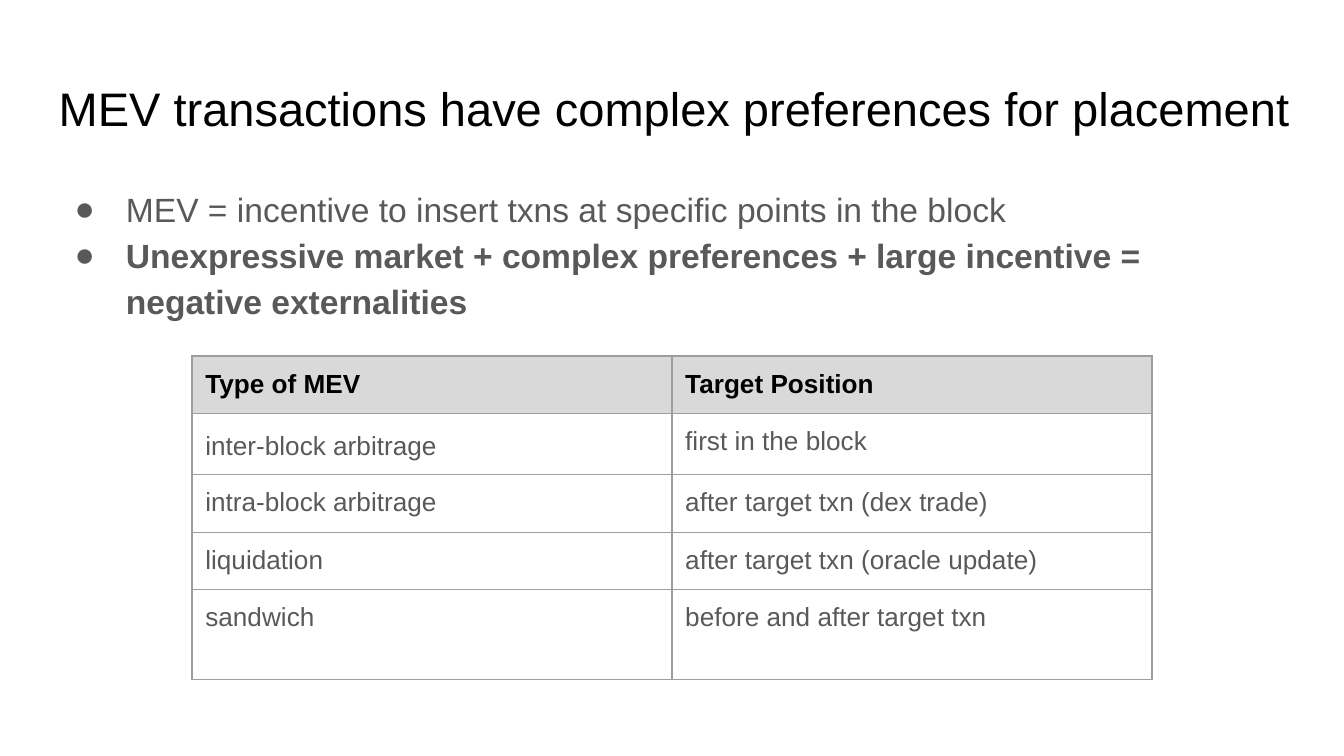
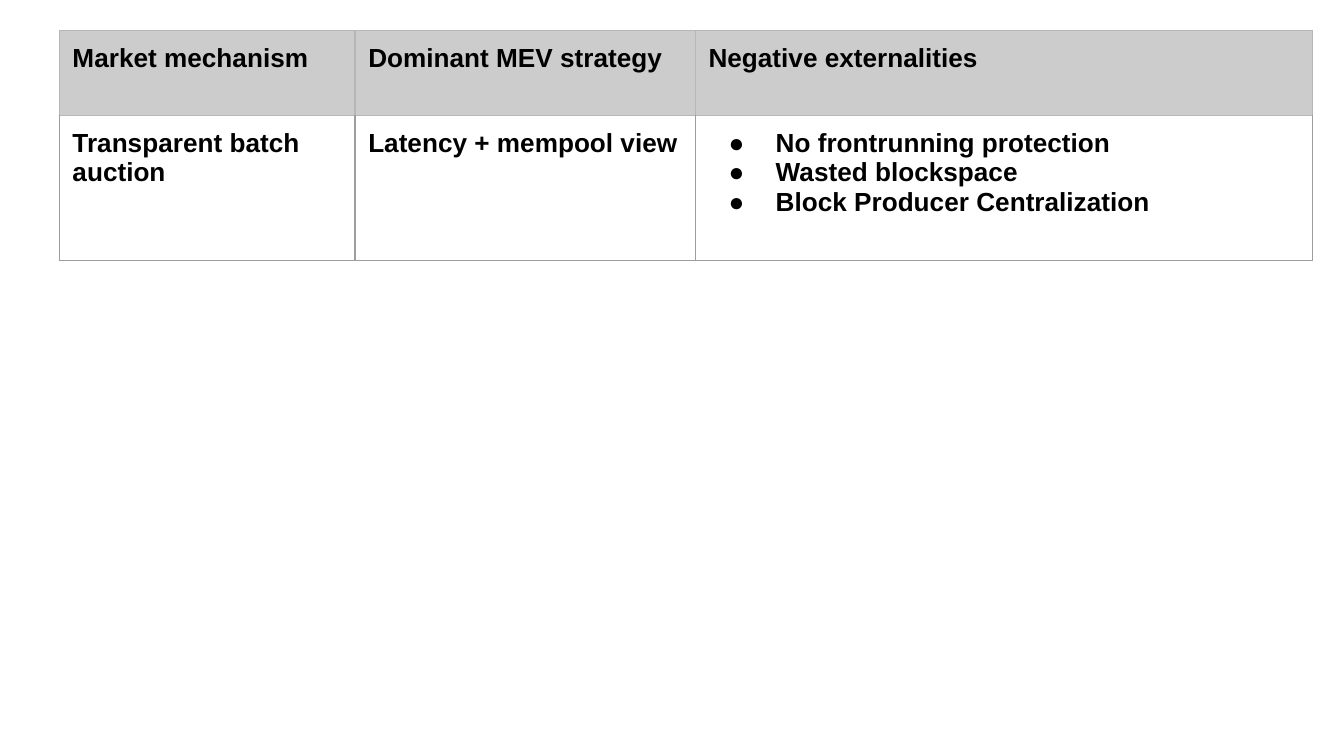
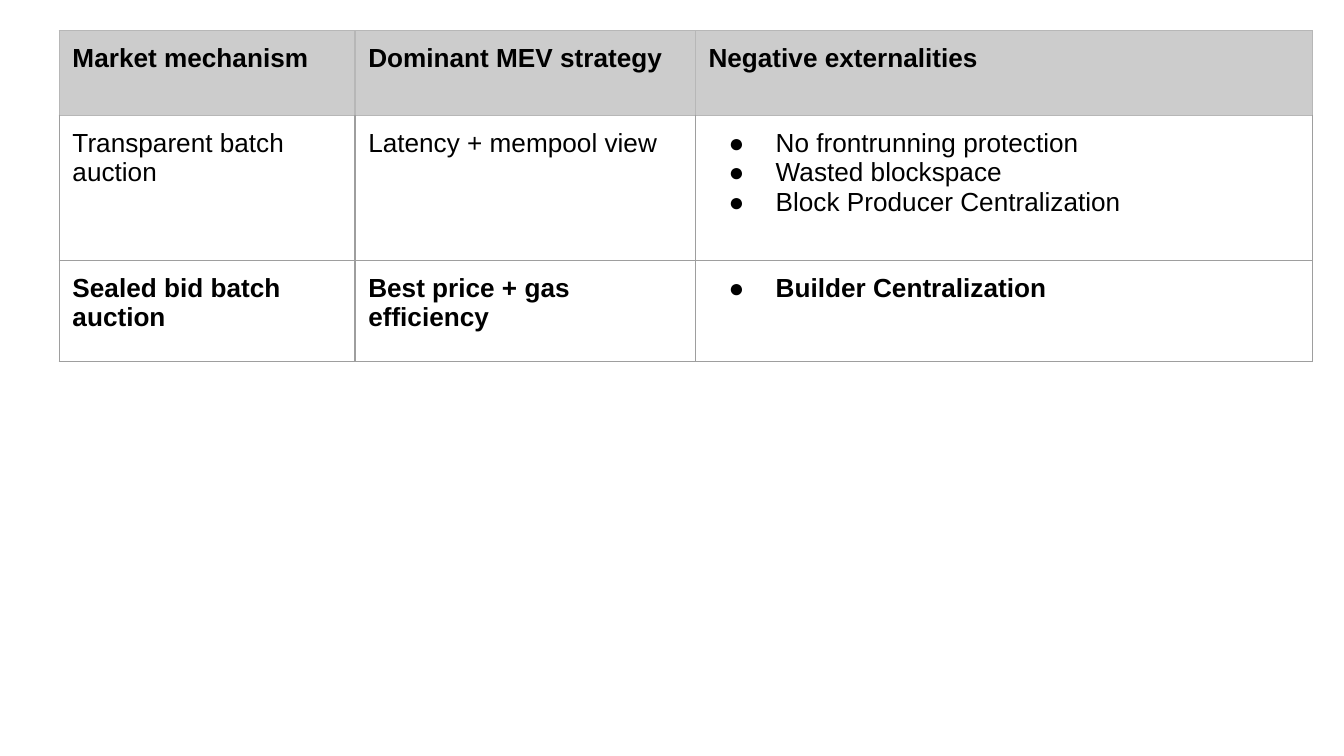
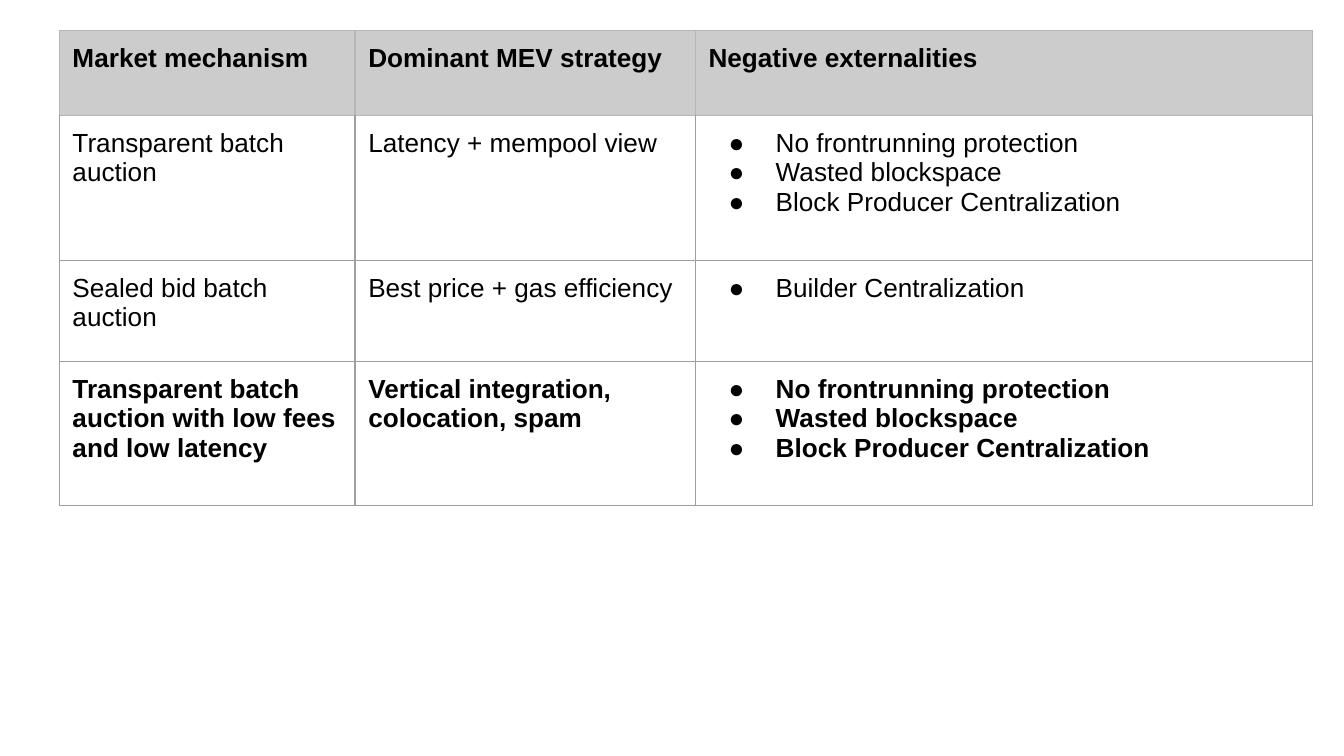
from dataclasses import dataclass
from typing import Any

from lxml import etree
from pptx import Presentation
from pptx import util as u
from pptx.dml import color
from pptx.enum import text
from pptx.oxml import ns

# Shared style
FONT = "Arial"
BLACK, GREY = "000000", "595959"
LINE, HEADER_LINE = "9E9E9E", "B7B7B7"
INSET = u.Cm(0.25)
MARGINS = {f"margin_{side}": INSET for side in ("left", "top", "right", "bottom")}
FRAME = MARGINS | {"word_wrap": True, "auto_size": text.MSO_AUTO_SIZE.NONE}
TITLE_LAYOUT, BLANK_LAYOUT = 1, 6


@dataclass(frozen=True)
class Line:
    """One paragraph; hang is the bullet's hanging indent in cm (0 for no bullet)."""
    words: str
    size: float = 14
    ink: str = BLACK
    bold: bool = False
    hang: float = 0
    spacing: float = 1.0
    after: float = 0


@dataclass(frozen=True)
class Grid:
    left: float
    top: float
    columns: tuple[float, ...]
    rows: tuple[float, ...]
    header_fill: str
    header_line: str


@dataclass(frozen=True)
class Market:
    mechanism: str
    strategy: str
    externalities: tuple[str, ...]


def rgb(code: str) -> color.RGBColor:
    return color.RGBColor.from_string(code)


def apply(target: Any, values: dict[str, Any]) -> None:
    for name, value in values.items():
        setattr(target, name, value)


def add_solid(parent: Any, tag: str, code: str) -> None:
    """Add a colour element, as DrawingML wants it, under parent."""
    holder = etree.SubElement(parent, ns.qn(tag))
    etree.SubElement(holder, ns.qn("a:srgbClr"), val=code)


# Text
def write(frame: Any, lines: list[Line]) -> None:
    for index, line in enumerate(lines):
        paragraph = frame.paragraphs[0] if index == 0 else frame.add_paragraph()
        apply(paragraph, {"alignment": text.PP_ALIGN.LEFT, "line_spacing": line.spacing,
                          "space_before": u.Pt(0), "space_after": u.Pt(line.after)})
        run = paragraph.add_run()
        run.text = line.words
        apply(run.font, {"name": FONT, "size": u.Pt(line.size), "bold": line.bold})
        run.font.color.rgb = rgb(line.ink)
        if line.hang:
            add_bullet(paragraph, line)


def add_bullet(paragraph: Any, line: Line) -> None:
    props = paragraph._p.get_or_add_pPr()
    props.set("marL", str(u.Cm(1.27)))
    props.set("indent", str(-u.Cm(line.hang)))
    add_solid(props, "a:buClr", line.ink)
    etree.SubElement(props, ns.qn("a:buFont"), typeface=FONT)
    etree.SubElement(props, ns.qn("a:buChar"), char="●")


def fill_placeholder(holder: Any, box: tuple[float, ...], anchor: Any, lines: list[Line]) -> None:
    apply(holder, dict(zip(("left", "top", "width", "height"), map(u.Cm, box))))
    apply(holder.text_frame, FRAME | {"vertical_anchor": anchor})
    write(holder.text_frame, lines)


# Tables
def add_borders(cell: Any, line: str, top: str) -> None:
    props = cell._tc.get_or_add_tcPr()
    for tag, code in (("a:lnL", line), ("a:lnR", line), ("a:lnT", top), ("a:lnB", line)):
        edge = etree.SubElement(props, ns.qn(tag), w=str(u.Pt(0.75)))
        add_solid(edge, "a:solidFill", code)


def add_grid(slide: Any, grid: Grid, content: list[list[list[Line]]]) -> None:
    heights = grid.rows[:len(content)]
    table = slide.shapes.add_table(
        len(content), len(grid.columns), u.Cm(grid.left), u.Cm(grid.top),
        u.Cm(sum(grid.columns)), u.Cm(sum(heights))).table
    apply(table, {"first_row": False, "horz_banding": False})
    for column, width in zip(table.columns, grid.columns):
        column.width = u.Cm(width)
    for r, (height, row) in enumerate(zip(heights, content)):
        table.rows[r].height = u.Cm(height)
        for c, lines in enumerate(row):
            cell = table.cell(r, c)
            apply(cell, MARGINS)
            add_borders(cell, LINE if r else grid.header_line,
                        grid.header_line if r < 2 else LINE)
            if r == 0:
                cell.fill.solid()
                cell.fill.fore_color.rgb = rgb(grid.header_fill)
            else:
                cell.fill.background()
            write(cell.text_frame, lines)


def header(*labels: str) -> list[list[Line]]:
    return [[Line(label, bold=True)] for label in labels]


# Slide 1: placement preferences
PLACEMENT_GRID = Grid(3.63, 6.73, (9.07, 9.07), (1.09, 1.15, 1.09, 1.09, 1.7), "D9D9D9", LINE)
PLACEMENTS = [
    ("intra-block arbitrage", "after target txn (dex trade)"),
    ("liquidation", "after target txn (oracle update)"),
    ("sandwich", "before and after target txn"),
]


def build_placement(deck: Any) -> None:
    slide = deck.slides.add_slide(deck.slide_layouts[TITLE_LAYOUT])
    fill_placeholder(
        slide.shapes.title, (0.86, 1.24, 24.16, 1.6), text.MSO_ANCHOR.MIDDLE,
        [Line("MEV transactions have complex preferences for placement", size=25.2)])
    point = {"size": 18, "ink": GREY, "hang": 0.97, "spacing": 1.15}
    fill_placeholder(
        slide.placeholders[1], (0.86, 3.2, 23.67, 9.5), text.MSO_ANCHOR.TOP,
        [Line("MEV = incentive to insert txns at specific points in the block", **point),
         Line("Unexpressive market + complex preferences + large incentive = "
              "negative externalities", bold=True, **point)])
    first = [[Line("inter-block arbitrage", ink=GREY, spacing=1.15, after=12)],
             [Line("first in the block", ink=GREY)]]
    others = [[[Line(words, ink=GREY)] for words in pair] for pair in PLACEMENTS]
    add_grid(slide, PLACEMENT_GRID,
             [header("Type of MEV", "Target Position"), first, *others])


# Slides 2 to 4: one more market mechanism each, the newest in bold
MARKET_GRID = Grid(1.12, 0.58, (5.59, 6.43, 11.66), (1.6, 2.74, 1.91, 2.72),
                   "CCCCCC", HEADER_LINE)
TRANSPARENT_COSTS = ("No frontrunning protection", "Wasted blockspace",
                     "Block Producer Centralization")
MARKETS = [
    Market("Transparent batch auction", "Latency + mempool view", TRANSPARENT_COSTS),
    Market("Sealed bid batch auction", "Best price + gas efficiency",
           ("Builder Centralization",)),
    Market("Transparent batch auction with low fees and low latency",
           "Vertical integration, colocation, spam", TRANSPARENT_COSTS),
]


def market_row(market: Market, bold: bool) -> list[list[Line]]:
    return [[Line(market.mechanism, bold=bold)],
            [Line(market.strategy, bold=bold)],
            [Line(cost, bold=bold, hang=0.89) for cost in market.externalities]]


def build_markets(deck: Any, count: int) -> None:
    slide = deck.slides.add_slide(deck.slide_layouts[BLANK_LAYOUT])
    rows = [market_row(market, number == count)
            for number, market in enumerate(MARKETS[:count], start=1)]
    labels = header("Market mechanism", "Dominant MEV strategy", "Negative externalities")
    add_grid(slide, MARKET_GRID, [labels, *rows])


def main() -> None:
    deck = Presentation()
    apply(deck, {"slide_width": u.Cm(25.4), "slide_height": u.Cm(14.29)})
    build_placement(deck)
    for count in range(1, len(MARKETS) + 1):
        build_markets(deck, count)
    deck.save("out.pptx")


if __name__ == "__main__":
    main()
